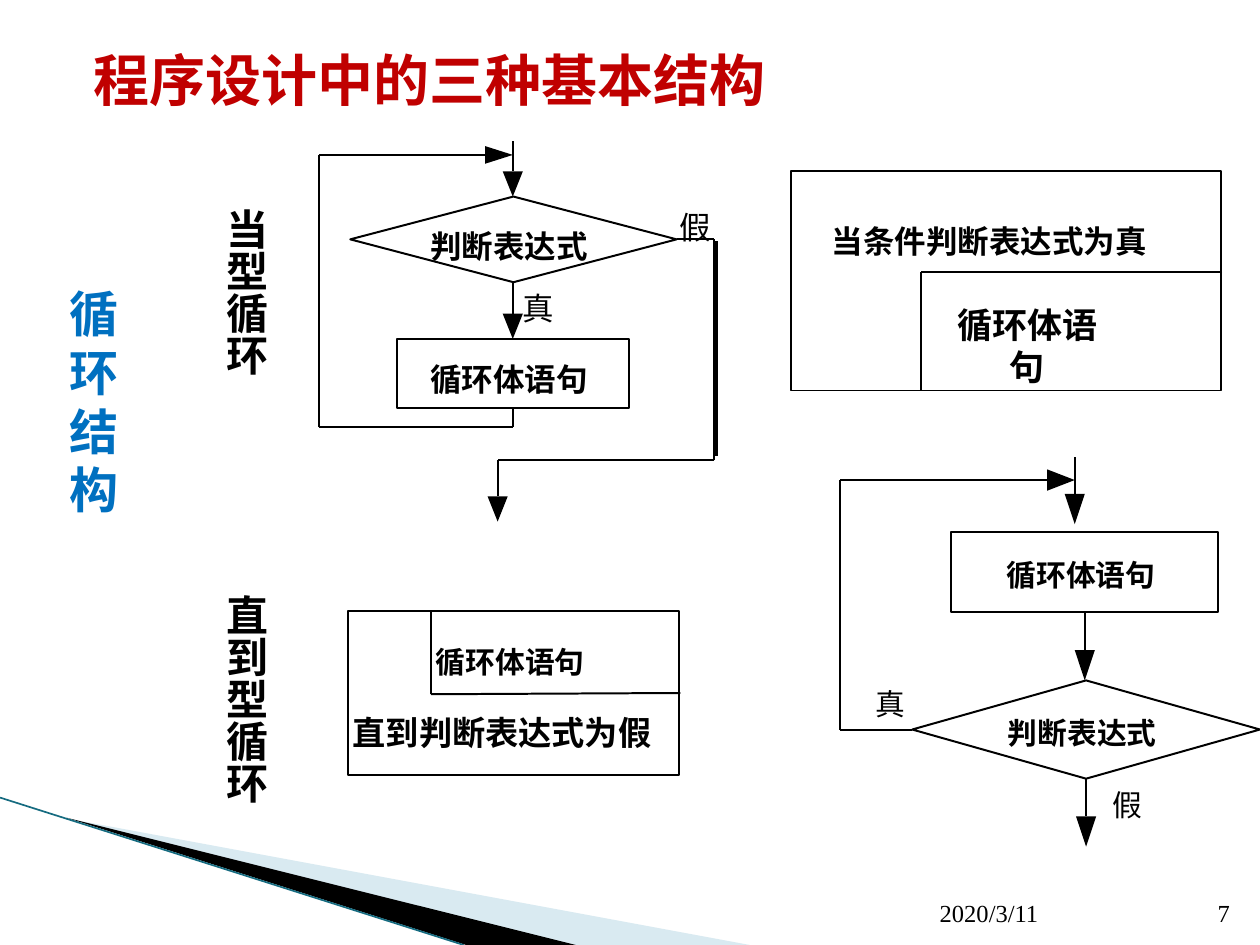
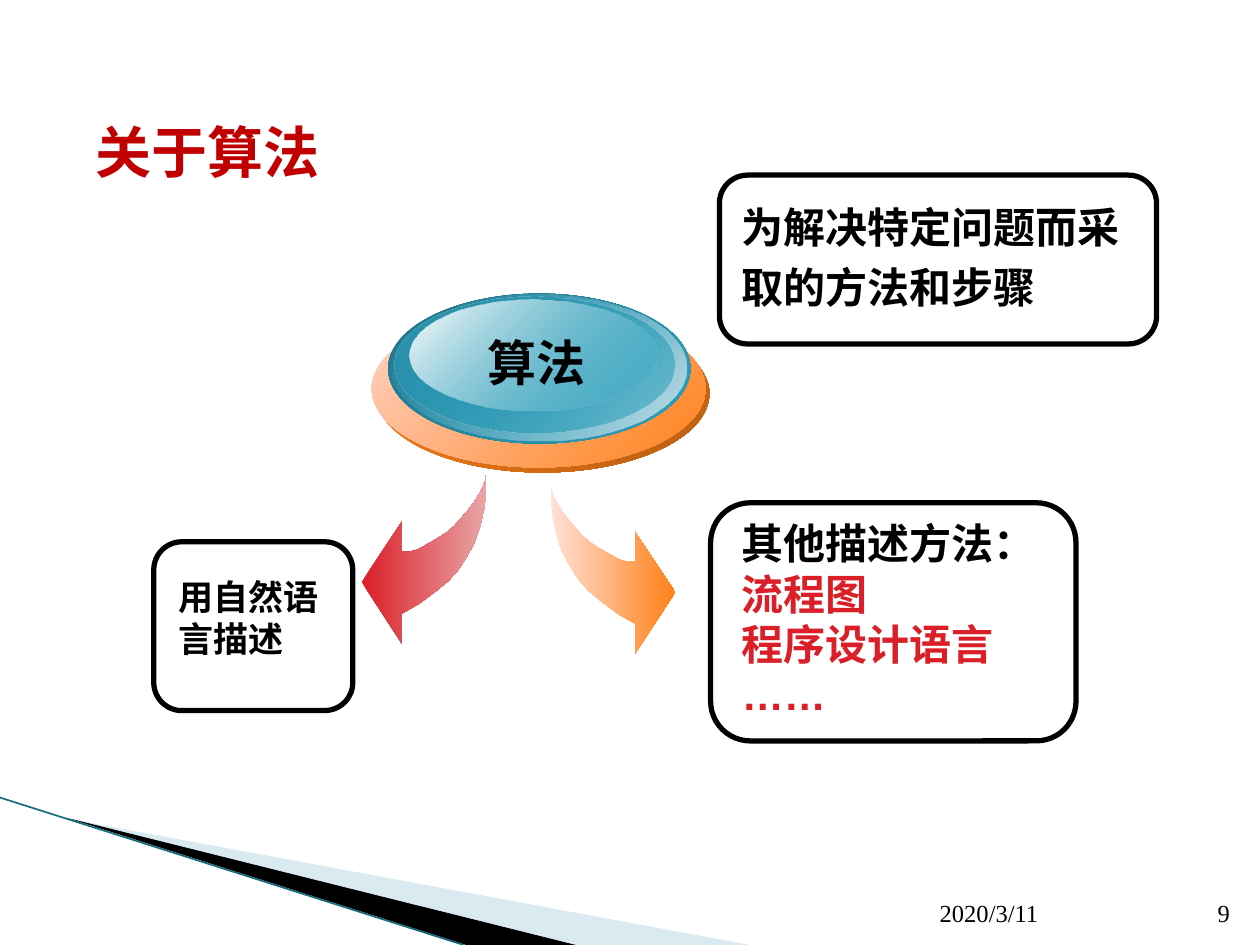
from math import hypot

from lxml.etree import SubElement
from pptx import Presentation
from pptx.dml.color import RGBColor as Rgb
from pptx.enum.shapes import MSO_CONNECTOR as Link, MSO_SHAPE as Form
from pptx.enum.text import MSO_ANCHOR as Anchor, PP_ALIGN as Align
from pptx.oxml.ns import qn
from pptx.util import Inches, Pt

COLORS = {
    "ink": "000000", "paper": "FFFFFF", "title": "C00000", "side": "0070C0",
    "band": "A0CBDC", "edge": "156B80", "red": "DA1F28", "pink": "E8A5A6",
    "orange": "FF8119", "rust": "BA5E12", "peach": "FFD3C6", "cream": "FFE1D8",
    "teal": "2DA2BF", "deep": "207489", "mid": "2992AD", "mist": "D4E4EB",
}
ROMAN, SANS, HEI = "Times New Roman", "Arial", "Noto Sans CJK SC"
THIN, BOLD = 1.13, 3
TEST, BODY, TRUE, FALSE = "判断表达式", "循环体语句", "真", "假"

# Curved arrow, as steps right and down from its tail
SWOOSH = [
    (0, 0), (0, .15), (.02, .3), (.05, .43), (.09, .55), (.15, .66),
    (.22, .77), (.3, .86), (.41, .95), (.53, 1.04), (.67, 1.12), (.67, 1.36),
    (.99, .87), (.67, .39), (.67, .63), (.61, .63), (.54, .61), (.47, .57),
    (.4, .53), (.32, .48), (.25, .42), (.19, .35), (.13, .28), (.08, .21),
    (.04, .14), (.01, .07),
]

# Stacked discs of the button: place, then (colour, opacity) at both ends
DISCS = [
    ((2.98, 2.5, 2.65, 1.25), ("orange", 100), ("rust", 100)),
    ((2.95, 2.46, 2.65, 1.25), ("peach", 100), ("orange", 100)),
    ((3.08, 2.33, 2.4, 1.19), ("deep", 100), ("teal", 100)),
    ((3.11, 2.34, 2.34, 1.16), ("teal", 0), ("mist", 100)),
    ((3.13, 2.35, 2.22, 1.08), ("mid", 100), ("teal", 48)),
    ((3.25, 2.38, 1.96, .88), ("paper", 100), ("teal", 38)),
]


def color(name):
    return Rgb.from_string(COLORS[name])


def fade(shape, *levels):
    """Set the opacity of each fill colour, in percent."""
    for node, level in zip(shape._element.spPr.iter(qn("a:srgbClr")), levels):
        SubElement(node, qn("a:alpha")).set("val", str(level * 1000))


class Deck:
    def __init__(self):
        self.show = Presentation()
        self.show.slide_width, self.show.slide_height = Inches(10), Inches(7.5)
        self.page = None

    def start(self, number):
        """Add a slide with its corner band, date and number."""
        self.page = self.show.slides.add_slide(self.show.slide_layouts[6])
        band = self.outline([(.55, 6.5), (5.95, 7.5), (4.56, 7.5)], "band")
        fade(band, 40)
        self.outline([(.53, 6.49), (4.57, 7.5), (3.7, 7.5)], "ink")
        self.line((0, 6.33), (3.68, 7.5), "edge", .95)
        self.text((7.36, 7.01, 2.1, .4), "2020/3/11", 14, bold=False,
                  anchor=Anchor.BOTTOM)
        self.text((9.46, 7.01, .4, .4), number, 14, bold=False,
                  align=Align.RIGHT, anchor=Anchor.BOTTOM)

    def style(self, shape, fill=None, line=None, width=THIN):
        shape.shadow.inherit = False
        if fill:
            shape.fill.solid()
            shape.fill.fore_color.rgb = color(fill)
        else:
            shape.fill.background()
        if line:
            shape.line.color.rgb = color(line)
            shape.line.width = Pt(width)
        else:
            shape.line.fill.background()
        return shape

    def shape(self, form, place, fill="paper", line="ink", width=THIN):
        item = self.page.shapes.add_shape(form, *map(Inches, place))
        return self.style(item, fill, line, width)

    def outline(self, points, fill):
        spots = [(Inches(x), Inches(y)) for x, y in points]
        maker = self.page.shapes.build_freeform(*spots[0], scale=1.0)
        maker.add_line_segments(spots[1:], close=True)
        return self.style(maker.convert_to_shape(), fill)

    def blend(self, shape, ends, angle):
        """Fill with two (colour, opacity) ends; angle runs clockwise."""
        shape.fill.gradient()
        shape.fill.gradient_angle = -angle % 360
        for stop, (name, _) in zip(shape.fill.gradient_stops, ends):
            stop.color.rgb = color(name)
        fade(shape, *(level for _, level in ends))

    def line(self, start, end, name="ink", width=THIN):
        link = self.page.shapes.add_connector(
            Link.STRAIGHT, *map(Inches, (*start, *end)))
        link.line.color.rgb = color(name)
        link.line.width = Pt(width)
        SubElement(link._element.spPr, qn("a:effectLst"))

    def route(self, *points):
        for start, end in zip(points, points[1:]):
            self.line(start, end)

    def arrow(self, *points, wide=.16, long=.2):
        """Draw a route that ends in a filled head."""
        (px, py), (x, y) = points[-2:]
        span = hypot(x - px, y - py)
        dx, dy = (x - px) / span, (y - py) / span
        bx, by = x - dx * long, y - dy * long
        self.route(*points[:-1], (bx, by))
        sx, sy = -dy * wide / 2, dx * wide / 2
        self.outline([(x, y), (bx + sx, by + sy), (bx - sx, by - sy)], "ink")

    def text(self, place, words, size, font=ROMAN, name="ink", bold=True,
             align=Align.LEFT, anchor=Anchor.TOP, space=None, hues=()):
        """Write lines of text; hues may give each line its own colour."""
        box = self.page.shapes.add_textbox(*map(Inches, place))
        frame = box.text_frame
        frame.text = words
        frame.word_wrap = True
        frame.vertical_anchor = anchor
        for i, para in enumerate(frame.paragraphs):
            para.alignment = align
            if space:
                para.line_spacing = space
            for run in para.runs:
                run.font.name, run.font.size = font, Pt(size)
                run.font.bold = bold
                run.font.color.rgb = color(hues[i] if hues else name)
                props = run._r.get_or_add_rPr()
                SubElement(props, qn("a:ea")).set("typeface", HEI)
        return frame

    def label(self, place, words, size, bold=True):
        """Centre one unwrapped line without margins."""
        frame = self.text(place, words, size, bold=bold, align=Align.CENTER)
        frame.word_wrap = False
        frame.margin_left = frame.margin_right = 0
        frame.margin_top = frame.margin_bottom = 0

    def upright(self, place, words):
        frame = self.text(place, words, 24)
        frame._txBody.bodyPr.set("vert", "eaVert")

    def title(self, place, words):
        self.text(place, words, 32, HEI, "title")


def while_loop(deck):
    deck.shape(Form.RECTANGLE, (6.28, 1.36, 3.41, 1.74))
    deck.label((6.58, 1.76, 2.54, .3), "当条件判断表达式为真", 18)
    deck.label((7.46, 2.41, 1.39, .34), BODY, 20)
    deck.route((9.7, 2.16), (7.31, 2.16), (7.31, 3.1))

    deck.shape(Form.DIAMOND, (2.78, 1.56, 2.59, .68))
    deck.label((3.41, 1.8, 1.26, .3), TEST, 18)
    deck.shape(Form.RECTANGLE, (3.15, 2.69, 1.84, .55))
    deck.label((3.41, 2.86, 1.26, .3), BODY, 18)
    deck.arrow((4.07, 1.12), (4.07, 1.56))
    deck.arrow((4.07, 2.24), (4.07, 2.69))
    deck.arrow((4.07, 3.24), (4.07, 3.39), (2.53, 3.39), (2.53, 1.23),
               (4.07, 1.23), wide=.14, long=.22)
    deck.arrow((5.37, 1.9), (5.67, 1.9), (5.67, 3.65), (3.95, 3.65),
               (3.95, 4.14))
    deck.line((5.68, 3.62), (5.68, 1.91), width=2.25)
    deck.label((4.15, 2.29, .25, .3), TRUE, 18, False)
    deck.label((5.39, 1.65, .25, .3), FALSE, 18, False)


def until_loop(deck):
    deck.shape(Form.RECTANGLE, (2.76, 4.85, 2.63, 1.3))
    deck.label((3.45, 5.11, 1.2, .29), BODY, 17)
    deck.label((2.78, 5.65, 2.41, .32), "直到判断表达式为假", 19)
    deck.route((3.42, 4.85), (3.42, 5.51), (5.4, 5.5))

    deck.shape(Form.RECTANGLE, (7.55, 4.22, 2.12, .64))
    deck.label((7.98, 4.42, 1.2, .29), BODY, 17)
    deck.shape(Form.DIAMOND, (7.24, 5.4, 2.76, .78))
    deck.label((7.99, 5.67, 1.2, .29), TEST, 17)
    for x, top, tip in ((8.53, 3.63, 4.16), (8.61, 4.86, 5.4),
                        (8.62, 6.18, 6.72)):
        deck.arrow((x, top), (x, tip), long=.24)
    deck.arrow((7.24, 5.79), (6.67, 5.79), (6.67, 3.81), (8.53, 3.81),
               wide=.17, long=.22)
    deck.label((8.83, 6.24, .24, .29), FALSE, 17, False)
    deck.label((6.95, 5.44, .24, .29), TRUE, 17, False)


def loops(deck):
    deck.start("7")
    while_loop(deck)
    until_loop(deck)
    deck.text((.45, 2.2, .58, 1.99), "循环结构", 28, HEI, "side")
    deck.upright((1.59, 1.56, .61, 1.92), "当型循环")
    deck.upright((1.59, 4.62, .61, 1.92), "直到型循环")
    deck.title((.64, .31, 6.42, .64), "程序设计中的三种基本结构")


def methods(deck):
    deck.start("9")
    deck.title((.66, .88, 3.5, .64), "关于算法")
    for place in ((1.22, 4.3, 1.58, 1.34), (5.64, 3.99, 2.9, 1.89),
                  (5.71, 1.39, 3.47, 1.34)):
        deck.shape(Form.ROUNDED_RECTANGLE, place, None, width=BOLD)
    for x, y, side, ends in (
            (3.86, 3.75, -1, (("red", 100), ("pink", 100))),
            (4.37, 3.83, 1, (("cream", 100), ("orange", 100)))):
        points = [(x + side * dx, y + dy) for dx, dy in SWOOSH]
        deck.blend(deck.outline(points, "paper"), ends, 0)
    for place, *ends in DISCS:
        deck.blend(deck.shape(Form.OVAL, place, line=None), ends, 45)
    deck.text((3.74, 2.59, 1.04, .57), "算法", 28, SANS, align=Align.CENTER)
    deck.text((1.32, 4.52, 1.41, .77), "用自然语言描述", 20, SANS)
    deck.text((5.79, 4.06, 2.76, 1.7),
              "其他描述方法：\n流程图\n程序设计语言\n……", 24, SANS,
              hues=("ink", "red", "red", "red"))
    deck.text((5.79, 1.47, 3.39, 1.06), "为解决特定问题而采取的方法和步骤",
              24, space=1.2)


def main():
    deck = Deck()
    loops(deck)
    methods(deck)
    deck.show.save("out.pptx")


if __name__ == "__main__":
    main()
